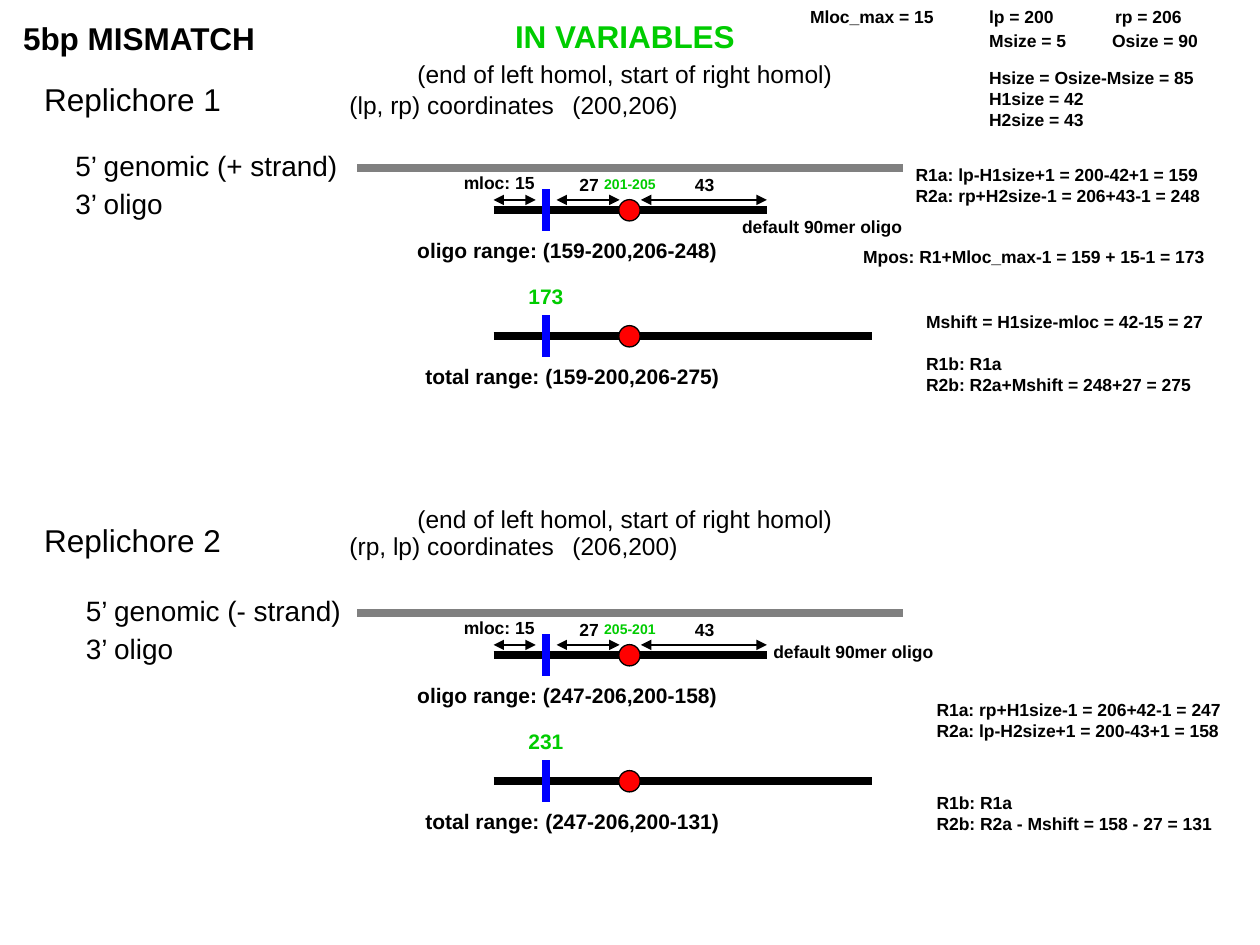
from lxml import etree
from pptx import Presentation
from pptx.dml.color import RGBColor
from pptx.enum.shapes import MSO_CONNECTOR, MSO_SHAPE
from pptx.enum.text import MSO_ANCHOR, MSO_AUTO_SIZE, PP_ALIGN
from pptx.oxml.ns import qn
from pptx.util import Cm, Pt

BLACK = RGBColor(0x00, 0x00, 0x00)
GRAY = RGBColor(0x80, 0x80, 0x80)
GREEN = RGBColor(0x00, 0xCC, 0x00)
BLUE = RGBColor(0x00, 0x00, 0xFF)
RED = RGBColor(0xFF, 0x00, 0x00)

LEFT, CENTER = PP_ALIGN.LEFT, PP_ALIGN.CENTER
TOP = MSO_ANCHOR.TOP
FIT = MSO_AUTO_SIZE.SHAPE_TO_FIT_TEXT
STRAIGHT = MSO_CONNECTOR.STRAIGHT
OVAL = MSO_SHAPE.OVAL

FONT = "Arial"
THICK, THIN = 4.5, 0.75
OLIGO_X, MLOC_X, MISMATCH_X = 2.75, 3.81, 5.49
OLIGO_END, TOTAL_END = 8.26, 10.37
TICK = 0.42
DOT = 0.43

NOTES = [
    (16.08, 0, 3.2, "Mloc_max = 15"),
    (19.69, 0, 2, "lp = 200"),
    (22.23, 0, 2, "rp = 206"),
    (19.69, 0.49, 2.25, "Msize = 5"),
    (22.17, 0.49, 2.4, "Osize = 90"),
    (19.69, 1.22, 4.8, "Hsize = Osize-Msize = 85\nH1size = 42\nH2size = 43"),
    (18.21, 3.18, 6.5,
     "R1a: lp-H1size+1 = 200-42+1 = 159\nR2a: rp+H2size-1 = 206+43-1 = 248"),
    (17.15, 4.83, 7.6, "Mpos: R1+Mloc_max-1 = 159 + 15-1 = 173"),
    (18.42, 6.15, 6.3, "Mshift = H1size-mloc = 42-15 = 27"),
    (18.42, 6.99, 6, "R1b: R1a\nR2b: R2a+Mshift = 248+27 = 275"),
    (18.63, 13.97, 6.5,
     "R1a: rp+H1size-1 = 206+42-1 = 247\nR2a: lp-H2size+1 = 200-43+1 = 158"),
    (18.63, 15.84, 6.25, "R1b: R1a\nR2b: R2a - Mshift = 158 - 27 = 131"),
]


def format_text(tf, text, size, bold, color, align):
    """Fill a text frame and format all its runs alike."""
    tf.text = text
    tf.word_wrap = True
    tf.vertical_anchor = TOP
    for p in tf.paragraphs:
        p.alignment = align
        for r in p.runs:
            r.font.name = FONT
            r.font.size = Pt(size)
            r.font.bold = bold
            r.font.color.rgb = color


def add_text(s, x, y, w, text, size, bold=False, color=BLACK, align=LEFT):
    """Add a text box whose height follows its line count and font size."""
    lines = text.count("\n") + 1
    h = lines * size * 0.04 + 0.25
    tf = s.shapes.add_textbox(Cm(x), Cm(y), Cm(w), Cm(h)).text_frame
    tf.auto_size = FIT
    format_text(tf, text, size, bold, color, align)


def add_line(s, x1, y1, x2, y2, color, width, arrows=False):
    """Add a straight line, with arrowheads at both ends if asked."""
    c = s.shapes.add_connector(STRAIGHT, Cm(x1), Cm(y1), Cm(x2), Cm(y2))
    c.line.color.rgb = color
    c.line.width = Pt(width)
    if arrows:
        ln = c.line._get_or_add_ln()
        for end in ("a:headEnd", "a:tailEnd"):
            etree.SubElement(ln, qn(end), type="triangle")
    etree.SubElement(c._element.spPr, qn("a:effectLst"))


def add_oligo(s, x, y, end):
    """Draw one oligo bar with its mloc tick and mismatch dot."""
    add_line(s, x + OLIGO_X, y, x + end, y, BLACK, THICK)
    add_line(s, x + MLOC_X, y - TICK, x + MLOC_X, y + TICK, BLUE, THICK)
    dot = s.shapes.add_shape(
        OVAL, Cm(x + MISMATCH_X - DOT / 2), Cm(y - DOT / 2), Cm(DOT), Cm(DOT))
    dot.shadow.inherit = False
    dot.fill.solid()
    dot.fill.fore_color.rgb = RED
    dot.line.color.rgb = BLACK
    dot.line.width = Pt(THIN)


def add_heading(s, x, y, name, pair, values):
    """Place a replichore name and its coordinate pair."""
    add_text(s, x, y, 4.66, name, 18)
    add_text(s, x + 6.14, y + 0.21, 4.66, f"{pair} coordinates", 14, align=CENTER)
    add_text(s, x + 8.68, y + 0.21, 6.56, values, 14, align=CENTER)


def add_diagram(s, x, y, strand, label_x, mismatch, oligo, mpos, total, default_at):
    """Draw the strand and both oligos from the left end of the genomic line."""
    add_text(s, x - 0.42, y - 2.33, 11.64,
             "(end of left homol, start of right homol)", 14, align=CENTER)
    add_text(s, label_x, y - 0.51, 5.92, f"5’ genomic ({strand} strand)", 16)
    add_text(s, label_x, y + 0.25, 2.54, "3’ oligo", 16)
    add_line(s, x, y, x + 11.01, y, GRAY, THICK)

    add_oligo(s, x, y + 0.85, OLIGO_END)
    for start, end in ((OLIGO_X, 3.6), (4.02, 5.29), (5.72, OLIGO_END)):
        add_line(s, x + start, y + 0.64, x + end, y + 0.64, BLACK, THIN, arrows=True)
    add_text(s, x + 1.9, y - 0.04, 2.12, "mloc: 15", 10, True)
    add_text(s, x + 4.23, y, 1.06, "27", 10, True)
    add_text(s, x + 4.65, y + 0.02, 1.7, mismatch, 8, True, GREEN, CENTER)
    add_text(s, x + 6.56, y, 1.06, "43", 10, True)
    dx, dy = default_at
    add_text(s, x + dx, y + dy, 4.02, "default 90mer oligo", 10, True, align=CENTER)
    add_text(s, x + 0.85, y + 1.27, 6.77, f"oligo range: {oligo}", 12, True, align=CENTER)

    add_oligo(s, x, y + 3.39, TOTAL_END)
    add_text(s, x + 3.17, y + 2.2, 1.27, mpos, 12, True, GREEN, CENTER)
    add_text(s, x + 0.85, y + 3.81, 6.98, f"total range: {total}", 12, True, align=CENTER)


def add_titles(s):
    """Place the slide title and the green caption beside it."""
    title = s.shapes.title
    title.left, title.top, title.width, title.height = Cm(0.21), Cm(0.25), Cm(6.14), Cm(1.01)
    format_text(title.text_frame, "5bp MISMATCH", 18, True, BLACK, LEFT)
    add_text(s, 9.53, 0.21, 6.14, "IN VARIABLES", 18, True, GREEN, CENTER)


def add_notes(s, notes):
    """Place the bold calculation notes."""
    for x, y, w, text in notes:
        add_text(s, x, y, w, text, 10, True)


def main():
    """Build the slide and save it."""
    prs = Presentation()
    prs.slide_width, prs.slide_height = Cm(25.4), Cm(19.05)
    s = prs.slides.add_slide(prs.slide_layouts[5])
    add_titles(s)
    add_heading(s, 0.64, 1.48, "Replichore 1", "(lp, rp)", "(200,206)")
    add_diagram(s, 7.2, 3.39, "+", 1.27, "201-205", "(159-200,206-248)",
                "173", "(159-200,206-275)", (7.36, 0.85))
    add_heading(s, 0.64, 10.37, "Replichore 2", "(rp, lp)", "(206,200)")
    add_diagram(s, 7.2, 12.36, "-", 1.48, "205-201", "(247-206,200-158)",
                "231", "(247-206,200-131)", (7.99, 0.43))
    add_notes(s, NOTES)
    prs.save("out.pptx")


if __name__ == "__main__":
    main()
